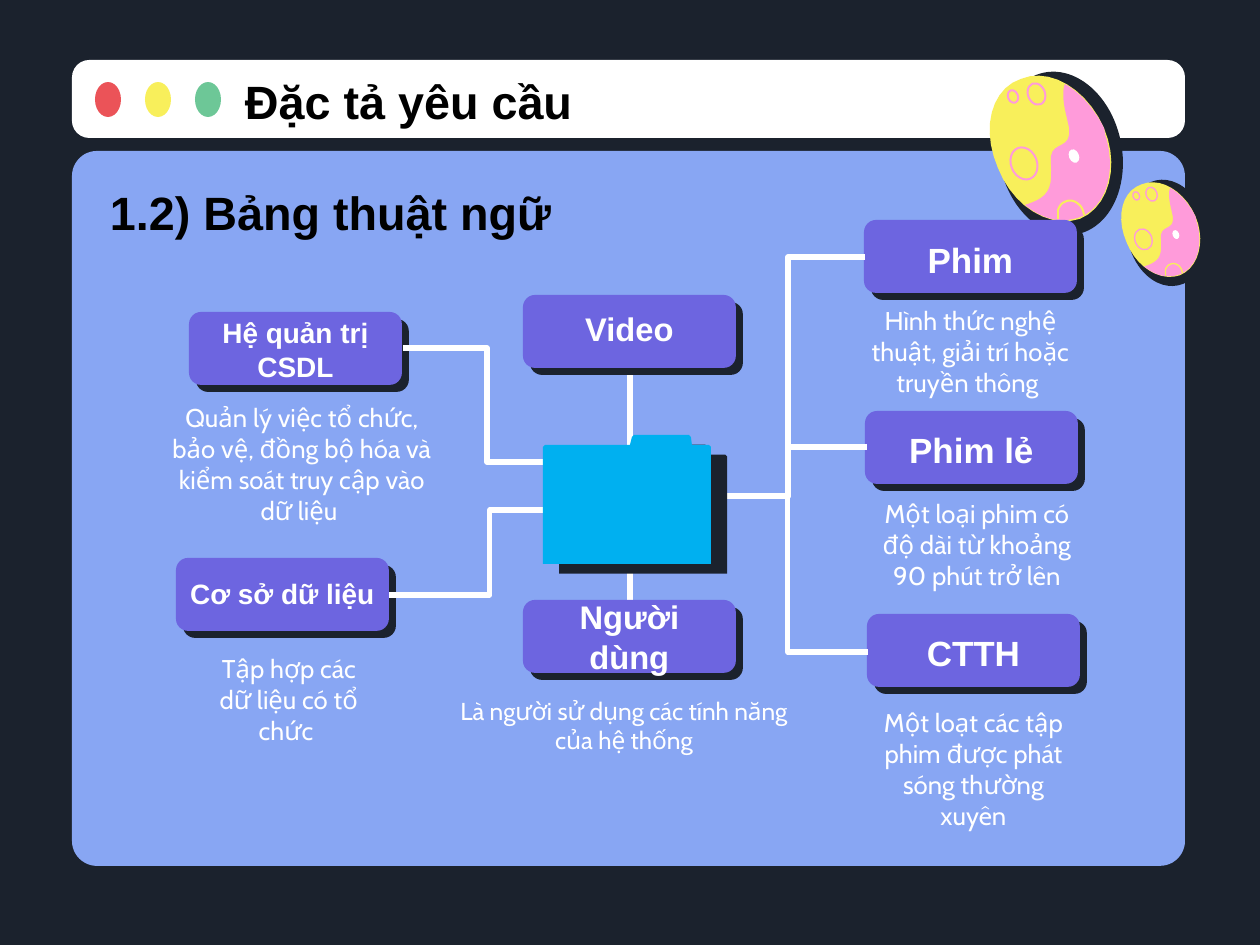
import pptx
import pptx.dml.color
import pptx.enum.shapes
import pptx.enum.text
import pptx.oxml.ns
import pptx.util
from lxml import etree

SCALE = 914400 / 168
SHAPES = pptx.enum.shapes.MSO_SHAPE
ALIGN = pptx.enum.text.PP_ALIGN
ANCHOR = pptx.enum.text.MSO_ANCHOR
NAVY, WHITE, YELLOW, PINK = "1B222D", "FFFFFF", "F8EF5B", "FF9BDA"

EGG_SHELL = [(30, 10), (59, -2), (96, 20), (113, 59), (129, 97), (118, 138), (89, 150),
             (59, 160), (22, 138), (7, 99), (-10, 60), (0, 20), (30, 10)]
EGG_PINK = [(74, 15), (86, 22), (96, 32), (104, 44), (107, 48), (110, 53), (113, 59),
            (114, 62), (114, 67), (116, 71), (124, 104), (116, 133), (94, 146),
            (86, 150), (76, 152), (67, 151), (55, 150), (44, 144), (34, 136),
            (57, 129), (62, 121), (60, 94), (57, 67), (87, 87), (76, 49),
            (71, 30), (72, 20), (74, 15)]
EGG_ARC = [(93, 146), (92, 139), (89, 136), (86, 134), (82, 131), (77, 131), (74, 133),
           (71, 134), (69, 136), (67, 141), (67, 144), (67, 147), (67, 150)]
EGG_RINGS = [(37, 14, 17, 22), (20, 78, 26, 33), (17, 21, 10, 13)]
FOLDER = [(168, 12), (168, 129), (0, 129), (0, 12), (2, 10), (87, 10), (89, 2), (91, 0),
          (146, 0), (148, 2), (149, 10), (166, 10)]

SIDE_TERMS = [
    ((864, 220), "Phim", 15, 3, (852, 292, 237, 104), 11,
     "Hình thức nghệ thuật, giải trí hoặc truyền thông "),
    ((865, 411), "Phim lẻ", 15, 2, (867, 485, 220, 104), 11,
     "Một loại phim có độ dài từ khoảng 90 phút trở lên"),
    ((867, 614), "CTTH", 15, 2, (855, 694, 237, 104), 11,
     "Một loạt các tập phim được phát sóng thường xuyên"),
    ((189, 312), "Hệ quản trị CSDL", 12, 1, (149, 389, 306, 104), 11,
     "Quản lý việc tổ chức, bảo vệ, đồng bộ hóa và kiểm soát truy cập vào dữ liệu "),
    ((176, 558), "Cơ sở dữ liệu", 12, -1, (195, 640, 188, 104), 11,
     "Tập hợp các dữ liệu có tổ chức "),
]
CENTRE_TERMS = [
    ((523, 600), "Người dùng", 14, 0, (445, 683, 358, 81), 10.5,
     "Là người sử dụng các tính năng của hệ thống"),
    ((523, 295), "Video", 14, -3, None, None, None),
]
LINKS = [
    ((711, 496), (865, 257), 788),
    ((711, 496), (867, 447), 788),
    ((711, 496), (868, 652), 788),
    ((403, 348), (571, 462), 487),
    ((389, 595), (590, 510), 490),
    ((630, 326), (630, 446), None),
    ((630, 558), (630, 677), None),
]


def px(length):
    return pptx.util.Emu(round(length * SCALE))


def color(code):
    return pptx.dml.color.RGBColor.from_string(code)


def paint(shape, fill=None, outline=None, width=1):
    shape.shadow.inherit = False
    if fill:
        shape.fill.solid()
        shape.fill.fore_color.rgb = color(fill)
    else:
        shape.fill.background()
    if outline:
        shape.line.color.rgb = color(outline)
        shape.line.width = px(width)
    else:
        shape.line.fill.background()
    return shape


def add_preset(slide, preset, box, fill=None, outline=None, width=1, corner=None, turn=0):
    shape = slide.shapes.add_shape(preset, *map(px, box))
    if corner is not None:
        shape.adjustments[0] = corner
    shape.rotation = turn
    return paint(shape, fill, outline, width)


def add_outline(slide, points, origin, scale=1, closed=True):
    placed = [(px(origin[0] + x * scale), px(origin[1] + y * scale)) for x, y in points]
    builder = slide.shapes.build_freeform(*placed[0], scale=1.0)
    builder.add_line_segments(placed[1:], close=closed)
    return builder.convert_to_shape()


def trace_curve(knots, steps=10):
    points = [knots[0]]
    for start in range(0, len(knots) - 1, 3):
        a, b, c, d = knots[start:start + 4]
        for step in range(1, steps + 1):
            t = step / steps
            weights = ((1 - t) ** 3, 3 * t * (1 - t) ** 2, 3 * t * t * (1 - t), t ** 3)
            points.append(tuple(sum(w * p[axis] for w, p in zip(weights, (a, b, c, d)))
                                for axis in (0, 1)))
    return points


def add_text(slide, box, text, size, font, ink, bold=False, align=ALIGN.LEFT, anchor=ANCHOR.MIDDLE):
    frame = slide.shapes.add_textbox(*map(px, box)).text_frame
    frame.word_wrap = True
    frame.vertical_anchor = anchor
    frame.margin_left = frame.margin_right = frame.margin_top = frame.margin_bottom = px(13)
    paragraph = frame.paragraphs[0]
    paragraph.text = text
    paragraph.alignment = align
    run_font = paragraph.runs[0].font
    run_font.size = pptx.util.Pt(size)
    run_font.name = font
    run_font.bold = bold
    run_font.color.rgb = color(ink)


def draw_window(slide, box):
    left, top, width, height = box
    add_preset(slide, SHAPES.ROUNDED_RECTANGLE, (left, top + 91, width, height - 91), "88A6F3", corner=0.035)
    add_preset(slide, SHAPES.ROUNDED_RECTANGLE, (left, top, width, 78), WHITE, corner=0.223)
    for index, fill in enumerate(("EB5358", YELLOW, "6DC797")):
        add_preset(slide, SHAPES.OVAL, (left + 23 + index * 50, top + 22, 26, 35), fill)


def draw_headings(slide, left, top):
    for x, y, text in ((135, 0, "Đặc tả yêu cầu"), (0, 111, "1.2) Bảng thuật ngữ")):
        add_text(slide, (left + x, top + y, 704, 104), text, 20, "Arial", "000000", True)


def draw_egg(slide, left, top, scale):
    def place(x, y, width, height):
        return left + x * scale, top + y * scale, width * scale, height * scale

    add_preset(slide, SHAPES.OVAL, place(8, 2, 123, 165), NAVY, turn=-11.6)
    for knots, fill in ((EGG_SHELL, YELLOW), (EGG_PINK, PINK)):
        paint(add_outline(slide, trace_curve(knots), (left, top), scale), fill)
    for ring in EGG_RINGS:
        add_preset(slide, SHAPES.OVAL, place(*ring), None, PINK, 2 * scale, turn=-22)
    arc = add_outline(slide, trace_curve(EGG_ARC), (left, top), scale, closed=False)
    paint(arc, None, YELLOW, 2 * scale)
    add_preset(slide, SHAPES.OVAL, place(78, 80, 10, 14), WHITE, turn=-22)


def draw_link(slide, start, end, bend):
    kinds = pptx.enum.shapes.MSO_CONNECTOR
    kind = kinds.STRAIGHT if bend is None else kinds.ELBOW
    link = slide.shapes.add_connector(kind, *map(px, start + end))
    link.line.color.rgb = color(WHITE)
    link.line.width = pptx.util.Pt(2.25)
    properties = link._element.spPr
    etree.SubElement(properties, pptx.oxml.ns.qn("a:effectLst"))
    if bend is not None:
        ratio = round((bend - start[0]) / (end[0] - start[0]) * 100000)
        guides = properties.find(".//" + pptx.oxml.ns.qn("a:avLst"))
        etree.SubElement(guides, pptx.oxml.ns.qn("a:gd"), name="adj1", fmla=f"val {ratio}")


def draw_folder(slide, left, top):
    folder = paint(add_outline(slide, FOLDER, (left, top)), "00B0F0")
    effects = folder._element.spPr.find(pptx.oxml.ns.qn("a:effectLst"))
    shade = etree.SubElement(effects, pptx.oxml.ns.qn("a:outerShdw"), dist=str(px(19)),
                             dir="1860000", algn="bl", rotWithShape="0")
    etree.SubElement(shade, pptx.oxml.ns.qn("a:srgbClr"), val=NAVY)


def draw_term(slide, corner, label, label_size, label_drop, meaning_box, meaning_size, meaning):
    left, top = corner
    for offset, fill in ((7, NAVY), (0, "6D65E0")):
        add_preset(slide, SHAPES.ROUNDED_RECTANGLE, (left + offset, top + offset, 213, 73), fill, corner=0.167)
    add_text(slide, (left, top + label_drop, 213, 73), label, label_size, "Arial", WHITE, True, ALIGN.CENTER)
    if meaning:
        add_text(slide, meaning_box, meaning, meaning_size, "Cabin", WHITE,
                 align=ALIGN.CENTER, anchor=ANCHOR.TOP)


def main():
    deck = pptx.Presentation()
    deck.slide_width, deck.slide_height = px(1260), px(945)
    slide = deck.slides.add_slide(deck.slide_layouts[6])
    slide.background.fill.solid()
    slide.background.fill.fore_color.rgb = color(NAVY)
    draw_window(slide, (72, 60, 1113, 806))
    draw_egg(slide, 991, 69, 1)
    draw_egg(slide, 1122, 178, 0.65)
    for term in SIDE_TERMS:
        draw_term(slide, *term)
    for link in LINKS:
        draw_link(slide, *link)
    draw_folder(slide, 543, 435)
    draw_headings(slide, 97, 49)
    for term in CENTRE_TERMS:
        draw_term(slide, *term)
    deck.save("out.pptx")


if __name__ == "__main__":
    main()
